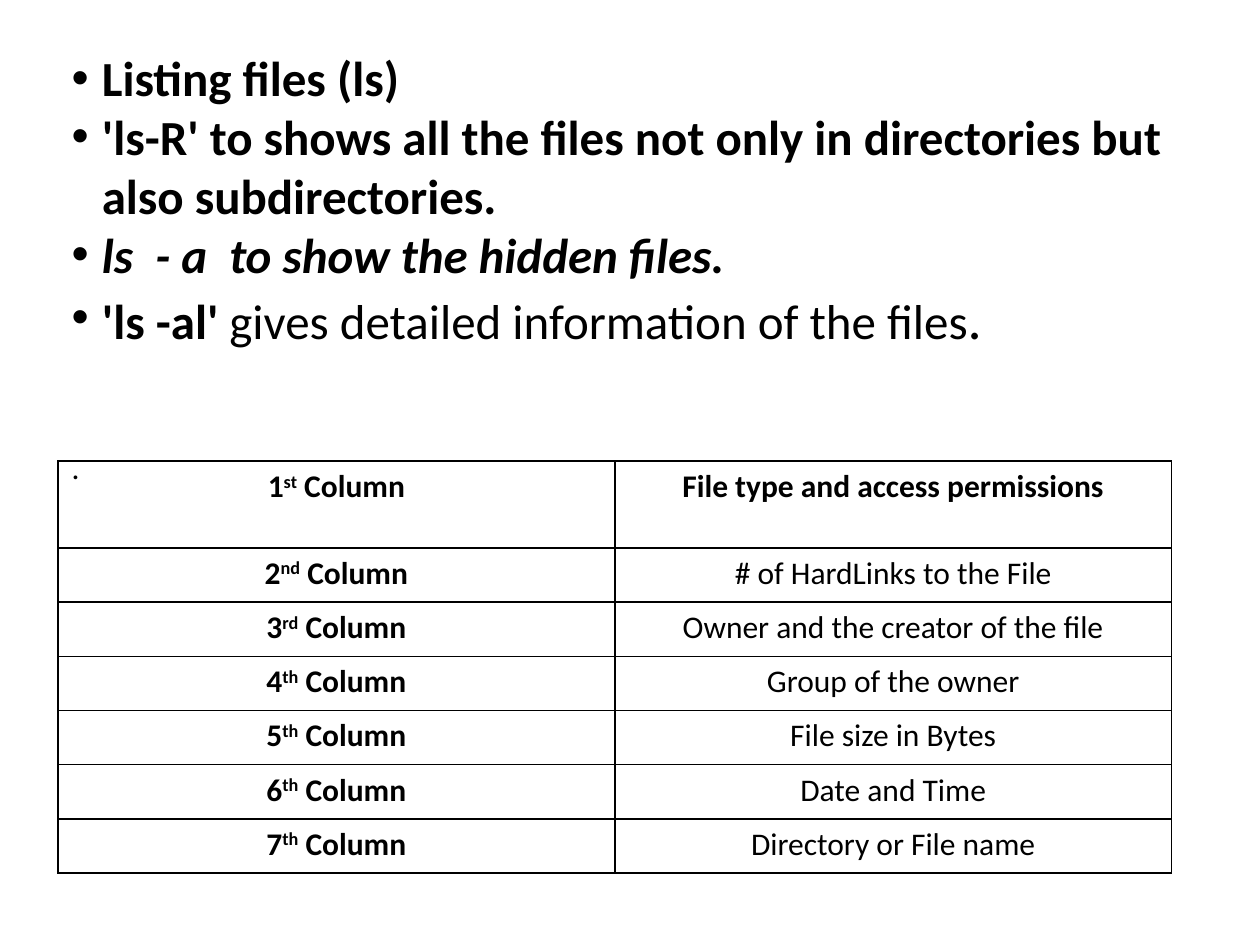
from dataclasses import dataclass

from lxml import etree
from pptx import Presentation
from pptx.dml.color import RGBColor
from pptx.enum import text as t
from pptx.oxml import ns
from pptx.util import Inches, Pt

BLACK = RGBColor(0x00, 0x00, 0x00)
FONT = "Calibri"
TABLE_SIZE = 18
HEADER_HEIGHT, ROW_HEIGHT, COLUMN_WIDTH = 0.69, 0.43, 4.42


@dataclass(frozen=True)
class Span:
    words: str
    size: int = 28
    bold: bool = True
    italic: bool = False
    baseline: int = 0


@dataclass(frozen=True)
class ListingField:
    number: str
    suffix: str
    meaning: str


COMMANDS = [
    [Span("Listing files (ls)")],
    [Span("'ls-R' to shows all the files not only in directories but also subdirectories.")],
    [Span("ls  - a  to show the hidden files.", italic=True)],
    [Span("'ls -al'"), Span(" gives detailed information of the files", bold=False),
     Span(".", size=32, bold=False)],
]
CLOSING_DOT = Span(".", size=18, bold=False)

FIELDS = [
    ListingField("1", "st", "File type and access permissions"),
    ListingField("2", "nd", "# of HardLinks to the File"),
    ListingField("3", "rd", "Owner and the creator of the file"),
    ListingField("4", "th", "Group of the owner"),
    ListingField("5", "th", "File size in Bytes"),
    ListingField("6", "th", "Date and Time"),
    ListingField("7", "th", "Directory or File name"),
]


def add_spans(paragraph, spans: list[Span]) -> None:
    for span in spans:
        run = paragraph.add_run()
        run.text = span.words
        font = run.font
        font.name, font.size = FONT, Pt(span.size)
        font.bold, font.italic = span.bold, span.italic
        font.color.rgb = BLACK
        if span.baseline:
            run._r.get_or_add_rPr().set("baseline", str(span.baseline * 1000))


def add_bullet(paragraph, indent: float) -> None:
    properties = paragraph._p.get_or_add_pPr()
    properties.set("marL", str(Inches(indent)))
    properties.set("indent", str(-Inches(indent)))
    etree.SubElement(properties, ns.qn("a:buFont"), typeface="Arial")
    etree.SubElement(properties, ns.qn("a:buChar"), char="•")


def add_commands(slide) -> None:
    box = slide.shapes.add_textbox(Inches(0.47), Inches(0.33), Inches(9), Inches(4.95))
    frame = box.text_frame
    frame.word_wrap = True
    for index, spans in enumerate(COMMANDS):
        paragraph = frame.paragraphs[0] if index == 0 else frame.add_paragraph()
        add_bullet(paragraph, 0.24)
        add_spans(paragraph, spans)
    dot = frame.add_paragraph()
    dot.space_before = Pt(56)
    add_spans(dot, [CLOSING_DOT])


def add_borders(cell) -> None:
    properties = cell._tc.get_or_add_tcPr()
    for position, side in enumerate(("lnL", "lnR", "lnT", "lnB")):
        line = etree.Element(ns.qn(f"a:{side}"), w=str(Pt(1)))
        fill = etree.SubElement(line, ns.qn("a:solidFill"))
        etree.SubElement(fill, ns.qn("a:srgbClr"), val=str(BLACK))
        properties.insert(position, line)


def fill_cell(cell, spans: list[Span]) -> None:
    cell.fill.background()
    add_borders(cell)
    paragraph = cell.text_frame.paragraphs[0]
    paragraph.alignment = t.PP_ALIGN.CENTER
    add_spans(paragraph, spans)


def add_fields(slide) -> None:
    height = HEADER_HEIGHT + ROW_HEIGHT * (len(FIELDS) - 1)
    table = slide.shapes.add_table(
        len(FIELDS), 2, Inches(0.46), Inches(3.66),
        Inches(2 * COLUMN_WIDTH), Inches(height)).table
    table.first_row = table.horz_banding = False
    for column in table.columns:
        column.width = Inches(COLUMN_WIDTH)
    for index, field in enumerate(FIELDS):
        is_header = index == 0
        table.rows[index].height = Inches(HEADER_HEIGHT if is_header else ROW_HEIGHT)
        fill_cell(table.cell(index, 0), [
            Span(field.number, TABLE_SIZE),
            Span(field.suffix, TABLE_SIZE, baseline=30),
            Span(" Column", TABLE_SIZE),
        ])
        fill_cell(table.cell(index, 1), [Span(field.meaning, TABLE_SIZE, bold=is_header)])


def main() -> None:
    deck = Presentation()
    deck.slide_width, deck.slide_height = Inches(10), Inches(7.5)
    slide = deck.slides.add_slide(deck.slide_layouts[6])
    add_commands(slide)
    add_fields(slide)
    deck.save("out.pptx")


if __name__ == "__main__":
    main()
